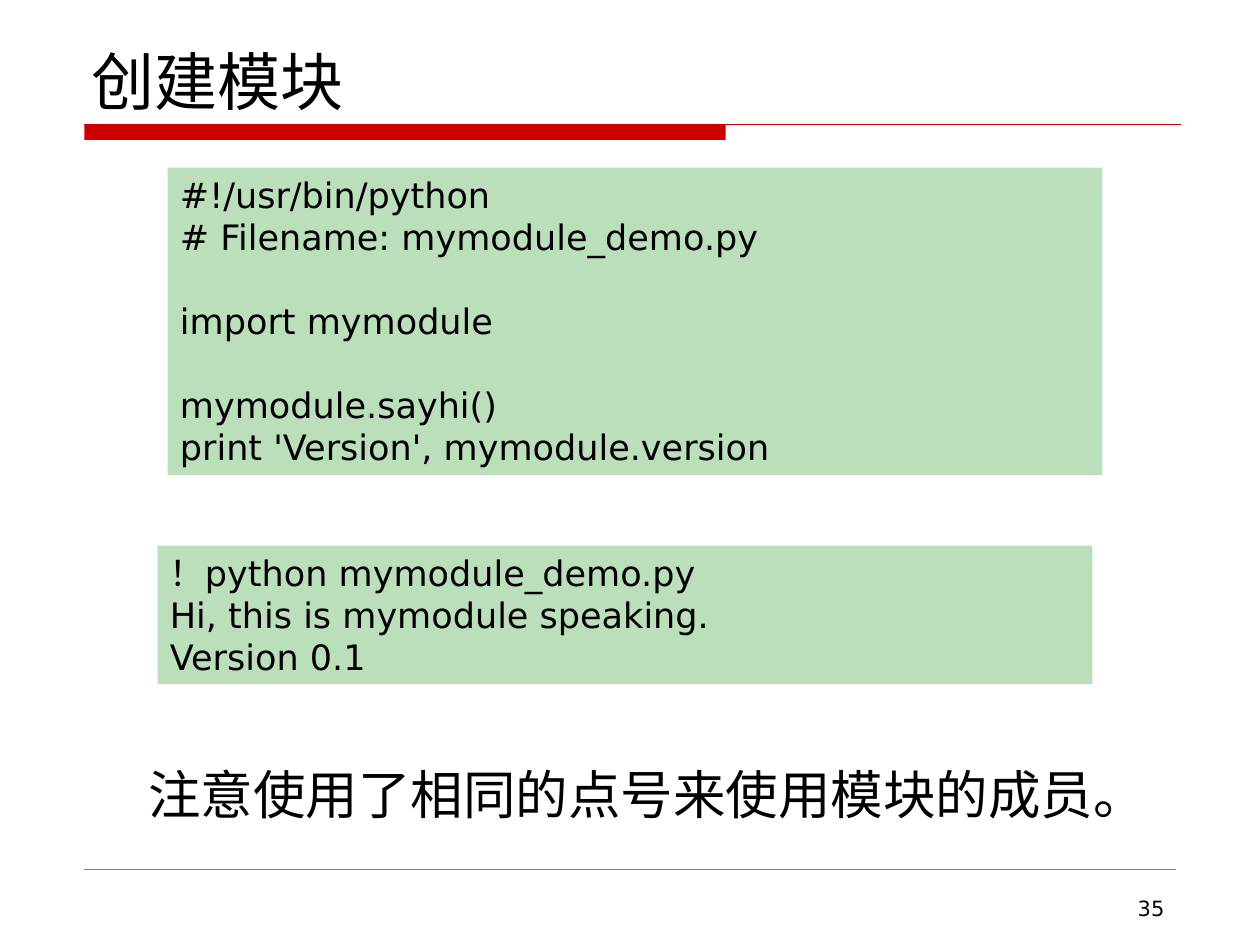
from dataclasses import dataclass

from lxml import etree
from pptx import Presentation
from pptx.dml.color import RGBColor
from pptx.enum.shapes import MSO_CONNECTOR, MSO_SHAPE
from pptx.enum.text import MSO_ANCHOR, PP_ALIGN
from pptx.oxml.ns import qn
from pptx.util import Inches, Pt

STRAIGHT = MSO_CONNECTOR.STRAIGHT
RECTANGLE = MSO_SHAPE.RECTANGLE
TOP, MIDDLE, BOTTOM = MSO_ANCHOR.TOP, MSO_ANCHOR.MIDDLE, MSO_ANCHOR.BOTTOM
LEFT, RIGHT = PP_ALIGN.LEFT, PP_ALIGN.RIGHT


@dataclass(frozen=True)
class Theme:
    font: str = "DejaVu Sans"
    ink: RGBColor = RGBColor(0x00, 0x00, 0x00)
    accent: RGBColor = RGBColor(0xCC, 0x00, 0x00)
    rule: RGBColor = RGBColor(0x80, 0x80, 0x80)
    panel: RGBColor = RGBColor(0xBB, 0xDF, 0xBB)
    title: int = 36
    note: int = 30
    code: int = 20
    number: int = 12


THEME = Theme()


def apply_format(target, values):
    for name, value in values.items():
        setattr(target, name, value)


def write_text(frame, blocks, size, anchor=TOP, align=LEFT, gap=0):
    apply_format(frame, {
        "word_wrap": True, "vertical_anchor": anchor,
        "margin_left": Inches(0.1), "margin_right": Inches(0.1),
        "margin_top": Inches(0.05), "margin_bottom": Inches(0.05),
    })
    first_line = True
    for block_index, block in enumerate(blocks):
        for line_index, line in enumerate(block):
            paragraph = frame.paragraphs[0] if first_line else frame.add_paragraph()
            first_line = False
            opens_block = block_index > 0 and line_index == 0
            apply_format(paragraph, {
                "alignment": align,
                "space_before": Pt(gap if opens_block else 0),
            })
            run = paragraph.add_run()
            run.text = line
            apply_format(run.font, {"name": THEME.font, "size": Pt(size)})
            run.font.color.rgb = THEME.ink


def add_label(slide, box, text, size, **layout):
    label = slide.shapes.add_textbox(*map(Inches, box))
    write_text(label.text_frame, [[text]], size, **layout)


def add_bar(slide, box, color):
    bar = slide.shapes.add_shape(RECTANGLE, *map(Inches, box))
    bar.shadow.inherit = False
    bar.fill.solid()
    bar.fill.fore_color.rgb = color
    bar.line.fill.background()
    return bar


def add_rule(slide, left, right, top, color, weight):
    rule = slide.shapes.add_connector(
        STRAIGHT, Inches(left), Inches(top), Inches(right), Inches(top))
    rule.line.color.rgb = color
    rule.line.width = Pt(weight)
    etree.SubElement(rule._element.spPr, qn("a:effectLst"))


def add_header(slide, box, title):
    left, top, width, height = box
    bottom = top + height
    add_label(slide, box, title, THEME.title, anchor=BOTTOM)
    add_bar(slide, (left + 0.04, bottom, 5.09, 0.12), THEME.accent)
    add_rule(slide, left + 0.04, left + width - 0.01, bottom, THEME.accent, 0.75)


def add_code_panel(slide, box, blocks):
    panel = add_bar(slide, box, THEME.panel)
    write_text(panel.text_frame, blocks, THEME.code, gap=24)


def add_footer(slide, box, number):
    left, top, width, height = box
    add_rule(slide, left, left + width, top, THEME.rule, 0.25)
    add_label(slide, (left + width - 2.16, top + 0.16, 2.17, height - 0.16),
              number, THEME.number, align=RIGHT)


def main():
    deck = Presentation()
    apply_format(deck, {"slide_width": Inches(10), "slide_height": Inches(7.5)})
    slide = deck.slides.add_slide(deck.slide_layouts[6])

    add_header(slide, (0.63, 0.33, 8.75, 0.66), "创建模块")
    add_code_panel(slide, (1.33, 1.33, 7.42, 2.44), [
        ["#!/usr/bin/python", "# Filename: mymodule_demo.py"],
        ["import mymodule"],
        ["mymodule.sayhi()", "print 'Version', mymodule.version"],
    ])
    add_code_panel(slide, (1.25, 4.33, 7.42, 1.1), [
        ["！python mymodule_demo.py", "Hi, this is mymodule speaking.", "Version 0.1"],
    ])
    add_label(slide, (1.08, 5.95, 8.3, 0.7),
              "注意使用了相同的点号来使用模块的成员。", THEME.note, anchor=MIDDLE)
    add_footer(slide, (0.67, 6.9, 8.66, 0.45), "35")

    deck.save("out.pptx")


if __name__ == "__main__":
    main()
